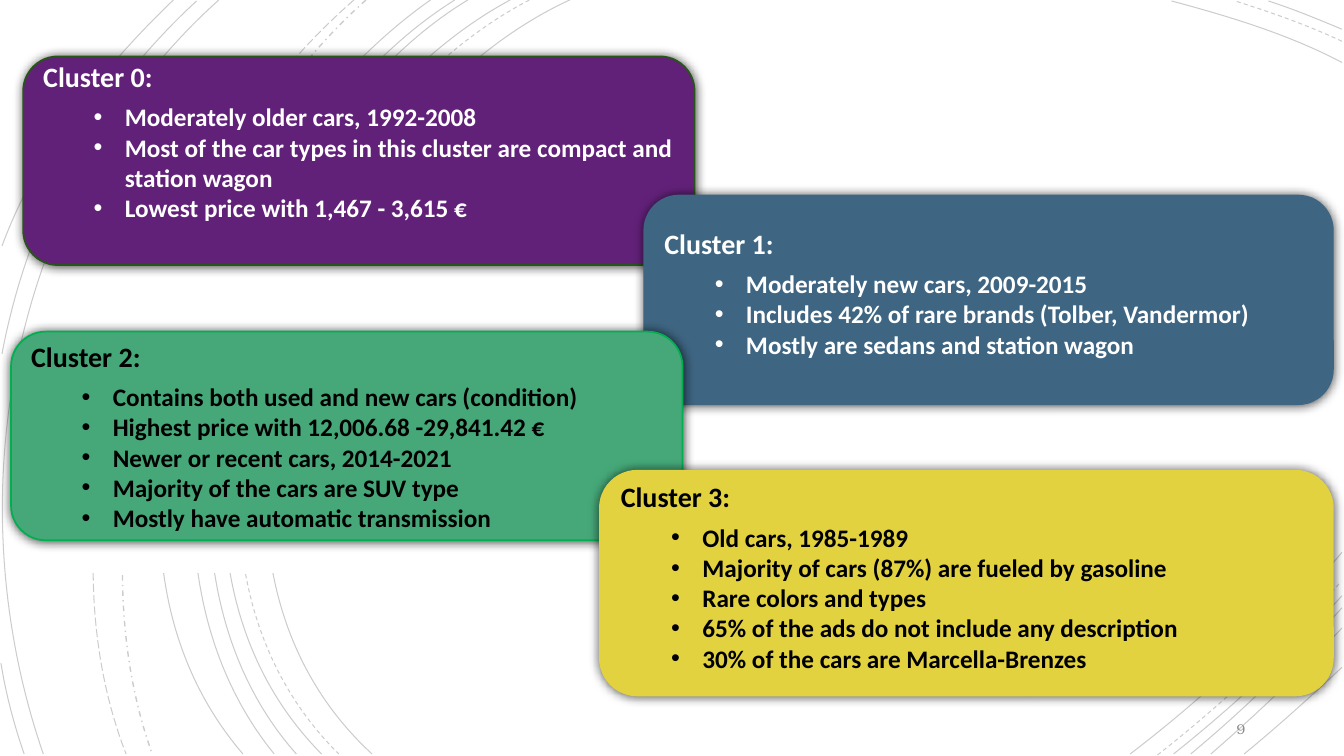
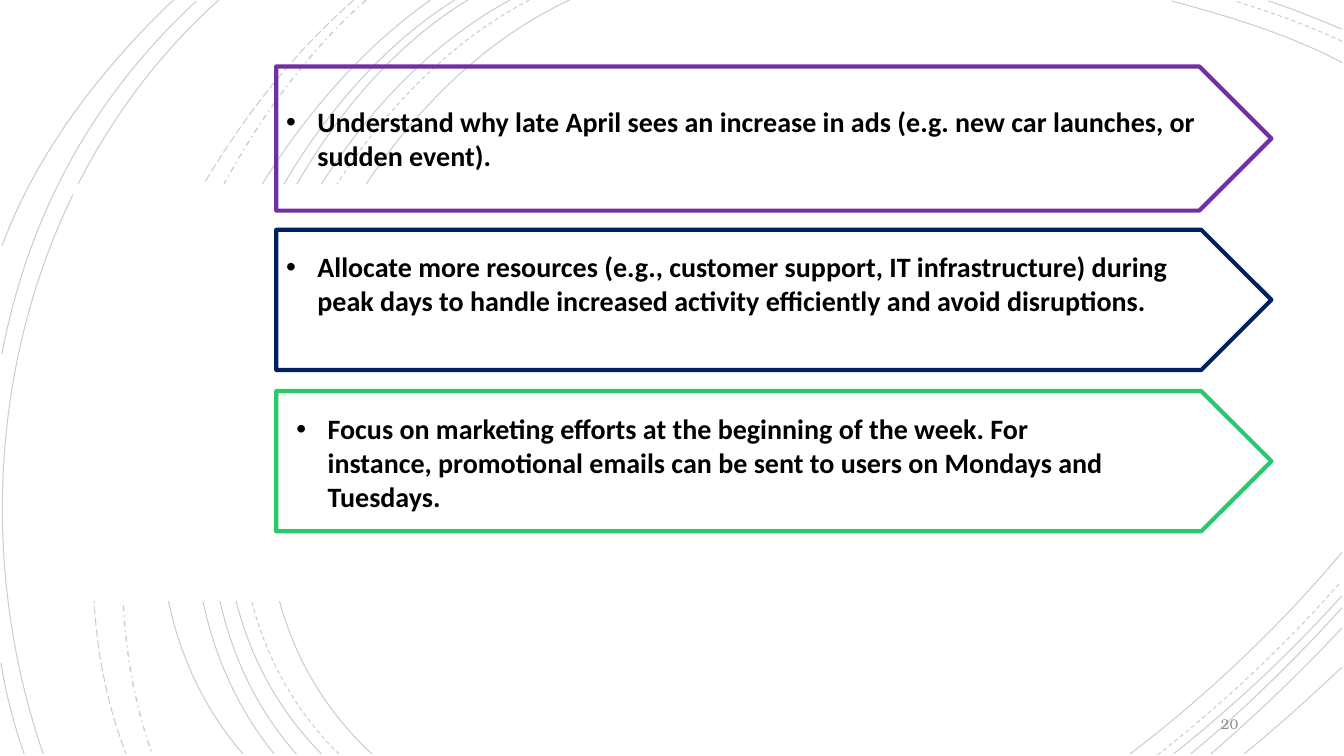
from lxml.etree import SubElement
from pptx import Presentation
from pptx.dml.color import RGBColor
from pptx.enum.dml import MSO_LINE
from pptx.enum.shapes import MSO_SHAPE
from pptx.enum.text import MSO_ANCHOR, PP_ALIGN
from pptx.oxml.ns import qn
from pptx.util import Inches, Pt

BLACK = RGBColor(0x00, 0x00, 0x00)
WHITE = RGBColor(0xFF, 0xFF, 0xFF)
GRAY = RGBColor(0x8C, 0x8C, 0x8C)
PURPLE = RGBColor(0x62, 0x21, 0x79)
DARK_GREEN = RGBColor(0x27, 0x54, 0x17)
BLUE = RGBColor(0x3E, 0x65, 0x82)
GREEN = RGBColor(0x46, 0xA8, 0x79)
BRIGHT_GREEN = RGBColor(0x00, 0xB0, 0x50)
YELLOW = RGBColor(0xE2, 0xD2, 0x3F)
VIOLET = RGBColor(0x70, 0x30, 0xA0)
NAVY = RGBColor(0x00, 0x20, 0x60)
MINT = RGBColor(0x29, 0xC9, 0x6A)
BODY_FONT = "Calibri"
NUMBER_FONT = "TeX Gyre Bonum"


def add_box(slide, preset, bounds, fill, line, width):
    shape = slide.shapes.add_shape(preset, *map(Inches, bounds))
    shape.shadow.inherit = False
    if fill is None:
        shape.fill.background()
    else:
        shape.fill.solid()
        shape.fill.fore_color.rgb = fill
    shape.line.color.rgb = line
    shape.line.width = Pt(width)
    return shape


def write_paragraph(paragraph, text, size, color, indent=None):
    paragraph.text = text
    paragraph.alignment = PP_ALIGN.LEFT
    font = paragraph.runs[0].font
    font.name = BODY_FONT
    font.size = Pt(size)
    font.bold = True
    font.color.rgb = color
    if indent is not None:
        properties = paragraph._p.get_or_add_pPr()
        properties.set("marL", str(Inches(indent)))
        properties.set("indent", str(Inches(-0.31)))
        SubElement(properties, qn("a:buFont"), typeface="Arial")
        SubElement(properties, qn("a:buChar"), char="•")


presentation = Presentation()
presentation.slide_width = Inches(13.33)
presentation.slide_height = Inches(7.5)
layout = presentation.slide_layouts[6]
clusters_slide = presentation.slides.add_slide(layout)
actions_slide = presentation.slides.add_slide(layout)

SOLID, DASH = MSO_LINE.SOLID, MSO_LINE.DASH
arcs = [
    ((5.65, 0), (3.15, 1.15), (1.43, 5.4), (3.69, 7.48), SOLID),
    ((13.31, 0.62), (12.78, 0.34), (12.18, 0.16), (11.62, 0.01), SOLID),
    ((11.21, 7.48), (11.97, 6.9), (12.69, 6.22), (13.31, 5.48), SOLID),
    ((5.25, 0), (2.85, 1.25), (1.23, 5.37), (3.36, 7.48), DASH),
    ((13.31, 0.41), (12.97, 0.25), (12.6, 0.12), (12.25, 0.01), DASH),
    ((11.48, 7.49), (12.13, 6.98), (12.75, 6.4), (13.3, 5.77), DASH),
    ((5.06, 0), (2.7, 1.27), (1.1, 5.37), (3.19, 7.48), SOLID),
    ((13.31, 0.29), (13.07, 0.19), (12.83, 0.09), (12.58, 0.01), SOLID),
    ((11.64, 7.48), (12.23, 7.01), (12.8, 6.48), (13.31, 5.91), SOLID),
    ((4.64, 0), (2.44, 1.33), (1.1, 5.41), (2.94, 7.48), SOLID),
    ((11.81, 7.48), (12.34, 7.04), (12.84, 6.55), (13.31, 6.03), SOLID),
    ((4.51, 0), (2.31, 1.38), (0.97, 5.33), (2.72, 7.48), SOLID),
    ((12.01, 7.48), (12.46, 7.09), (12.9, 6.67), (13.31, 6.23), SOLID),
    ((4.27, 0), (2.17, 1.47), (0.53, 5.29), (2.41, 7.48), SOLID),
    ((12.34, 7.48), (12.67, 7.21), (12.99, 6.92), (13.31, 6.62), SOLID),
    ((3.63, 0), (1.76, 1.66), (0.65, 5.09), (1.51, 7.48), MSO_LINE.DASH_DOT),
    ((3.51, 0), (1.57, 1.69), (0.29, 4.99), (1.25, 7.48), MSO_LINE.LONG_DASH),
    ((2.17, 0), (0.11, 1.85), (-0.46, 4.9), (0.43, 7.48), SOLID),
    ((1.95, 0.01), (0.92, 0.96), (0.28, 2.14), (0.02, 3.51), SOLID),
    ((0.01, 6.58), (0.06, 6.89), (0.14, 7.19), (0.24, 7.48), SOLID),
    ((1.72, 0), (1, 0.69), (0.37, 1.5), (0.02, 2.44), SOLID),
]
for *controls, dash in arcs:
    start, *others = [tuple(map(Inches, point)) for point in controls]
    builder = clusters_slide.shapes.build_freeform(*start)
    builder.add_line_segments(others, close=False)
    arc = builder.convert_to_shape()
    segments = list(arc.element.spPr.iter(qn("a:lnTo")))
    curve = SubElement(segments[0].getparent(), qn("a:cubicBezTo"))
    for segment in segments:
        curve.append(segment[0])
        segment.getparent().remove(segment)
    arc.shadow.inherit = False
    arc.fill.background()
    arc.line.color.rgb = BLACK
    arc.line.width = Pt(1 if dash == MSO_LINE.DASH_DOT else 0.75)
    arc.line.dash_style = dash
    color = arc.element.spPr.find(".//" + qn("a:srgbClr"))
    SubElement(color, qn("a:alpha"), val="20000")
    layout.shapes.element.append(arc.element)

for slide, number, panel_size, number_size in (
    (clusters_slide, "9", (4.54, 3.85), (1, 0.35)),
    (actions_slide, "20", (4.21, 4.12), (0.93, 0.24)),
):
    add_box(slide, MSO_SHAPE.RECTANGLE, (0.73, 1.83, *panel_size), WHITE, WHITE, 1.25)
    number_box = slide.shapes.add_textbox(*map(Inches, (11.45, 7.06, *number_size)))
    number_box.text_frame.word_wrap = True
    number_box.text_frame.vertical_anchor = MSO_ANCHOR.MIDDLE
    paragraph = number_box.text_frame.paragraphs[0]
    paragraph.text = number
    paragraph.alignment = PP_ALIGN.RIGHT
    font = paragraph.runs[0].font
    font.name = NUMBER_FONT
    font.size = Pt(10)
    font.color.rgb = GRAY

clusters = [
    ((0.23, 0.56, 6.66, 2.07), PURPLE, DARK_GREEN, WHITE, 0.39, [
        "Moderately older cars, 1992-2008",
        "Most of the car types in this cluster are compact and station wagon",
        "Lowest price with 1,467 - 3,615 €",
    ]),
    ((6.39, 1.94, 6.83, 2.07), BLUE, BLUE, WHITE, 0.14, [
        "Moderately new cars, 2009-2015",
        "Includes 42% of rare brands (Tolber, Vandermor)",
        "Mostly are sedans and station wagon",
    ]),
    ((0.11, 3.29, 6.66, 2.07), GREEN, BRIGHT_GREEN, BLACK, 0, [
        "Contains both used and new cars (condition)",
        "Highest price with 12,006.68 -29,841.42 €",
        "Newer or recent cars, 2014-2021",
        "Majority of the cars are SUV type",
        "Mostly have automatic transmission",
    ]),
    ((5.95, 4.67, 7.27, 2.23), YELLOW, YELLOW, BLACK, 0.13, [
        "Old cars, 1985-1989",
        "Majority of cars (87%) are fueled by gasoline",
        "Rare colors and types",
        "65% of the ads do not include any description",
        "30% of the cars are Marcella-Brenzes",
    ]),
]
for index, (bounds, fill, line, text_color, bottom_margin, facts) in enumerate(clusters):
    card = add_box(clusters_slide, MSO_SHAPE.ROUNDED_RECTANGLE, bounds, fill, line, 1.25)
    effects = card.element.spPr.find(qn("a:effectLst"))
    shadow = SubElement(effects, qn("a:outerShdw"), blurRad=str(Pt(8)), dist="0",
                        algn="ctr", rotWithShape="0")
    shadow_color = SubElement(shadow, qn("a:srgbClr"), val=str(BLACK))
    SubElement(shadow_color, qn("a:alpha"), val="70000")
    text_frame = card.text_frame
    text_frame.word_wrap = True
    text_frame.vertical_anchor = MSO_ANCHOR.MIDDLE
    text_frame.margin_top = 0
    text_frame.margin_bottom = Inches(bottom_margin)
    text_frame.margin_right = Inches(0.05)
    write_paragraph(text_frame.paragraphs[0], f"Cluster {index}:", 20, text_color)
    for fact in facts:
        paragraph = text_frame.add_paragraph()
        paragraph.level = 1
        write_paragraph(paragraph, fact, 18, text_color, 0.81)
    text_frame.paragraphs[1].space_before = Pt(6)

actions = [
    (0.66, 1.43, VIOLET, (0.1, 0.05, 0.1, 0.05),
     "Understand why late April sees an increase in ads (e.g. new car launches, "
     "or sudden event)."),
    (2.28, 1.39, NAVY, (0.1, 0.05, 0.1, 0.38),
     "Allocate more resources (e.g., customer support, IT infrastructure) during "
     "peak days to handle increased activity efficiently and avoid disruptions."),
    (3.88, 1.39, MINT, (0.2, 0.07, 1, 0.05),
     "Focus on marketing efforts at the beginning of the week. For instance, "
     "promotional emails can be sent to users on Mondays and Tuesdays."),
]
for top, height, line, margins, action in actions:
    arrow = add_box(actions_slide, MSO_SHAPE.PENTAGON, (2.74, top, 9.87, height), None, line, 3)
    text_frame = arrow.text_frame
    text_frame.word_wrap = True
    text_frame.vertical_anchor = MSO_ANCHOR.MIDDLE
    (text_frame.margin_left, text_frame.margin_top,
     text_frame.margin_right, text_frame.margin_bottom) = map(Inches, margins)
    write_paragraph(text_frame.paragraphs[0], action, 20, BLACK, 0.31)

presentation.save("out.pptx")
